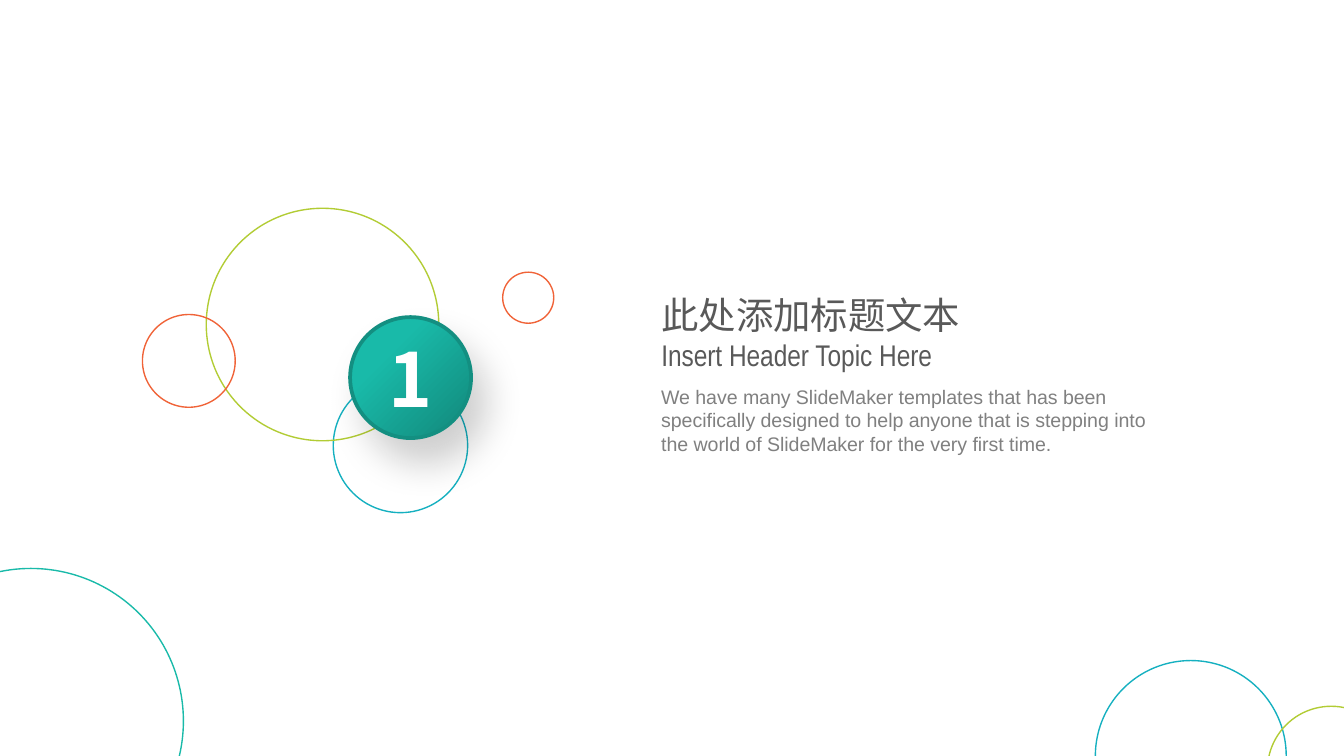
from lxml import etree
from pptx import Presentation
from pptx.dml.color import RGBColor
from pptx.enum.shapes import MSO_SHAPE
from pptx.enum.text import MSO_ANCHOR, MSO_AUTO_SIZE, PP_ALIGN
from pptx.oxml.ns import qn
from pptx.util import Inches, Pt

OVAL = MSO_SHAPE.OVAL
TOP = MSO_ANCHOR.TOP
GROW = MSO_AUTO_SIZE.SHAPE_TO_FIT_TEXT
LEFT, CENTER = PP_ALIGN.LEFT, PP_ALIGN.CENTER

TEAL = RGBColor(0x19, 0xBA, 0xA9)
DARK_TEAL = RGBColor(0x13, 0x8F, 0x81)
CYAN = RGBColor(0x15, 0xB0, 0xC0)
LIME = RGBColor(0xB2, 0xCC, 0x34)
ORANGE = RGBColor(0xF0, 0x63, 0x38)
WHITE = RGBColor(0xFF, 0xFF, 0xFF)
HEADING = RGBColor(0x59, 0x59, 0x59)
BODY = RGBColor(0x80, 0x80, 0x80)
CJK = "Noto Sans CJK SC"

prs = Presentation()
prs.slide_width = Inches(10)
prs.slide_height = prs.slide_width * 9 // 16
s = prs.slides.add_slide(prs.slide_layouts[5])
U = prs.slide_width / 100  # grid unit: one hundredth of the slide width


def add_circle(x, y, size, color, weight=0.75):
    """Draw an unfilled circle, measured in grid units."""
    sp = s.shapes.add_shape(OVAL, *(int(v * U) for v in (x, y, size, size)))
    sp.shadow.inherit = False
    sp.fill.background()
    sp.line.color.rgb = color
    sp.line.width = Pt(weight)
    return sp


def write(sp, lines, box, color, align=LEFT, bold=False, inset=0.0):
    """Place a text shape on the grid and fill it with (text, font, size) lines."""
    sp.left, sp.top, sp.width, sp.height = (int(v * U) for v in box)
    tf = sp.text_frame
    tf.word_wrap = True
    tf.auto_size = GROW
    tf.vertical_anchor = TOP
    tf.margin_left, tf.margin_right = Inches(inset), Inches(0.1)
    tf.margin_top = tf.margin_bottom = Inches(0.05)
    for i, (text, font, size) in enumerate(lines):
        p = tf.add_paragraph() if i else tf.paragraphs[0]
        p.alignment = align
        r = p.add_run()
        r.text = text
        r.font.name, r.font.size = font, Pt(size)
        r.font.bold = bold
        r.font.color.rgb = color
        etree.SubElement(r.font._element, qn("a:ea"), typeface=font)


# Heading and description
write(s.shapes.title,
      [("此处添加标题文本", CJK, 20), ("Insert Header Topic Here", "Arial Narrow", 16)],
      (49.2, 21.25, 23.6, 7.1), HEADING)
write(s.shapes.add_textbox(0, 0, 0, 0),
      [("We have many SlideMaker templates that has been specifically designed to help "
        "anyone that is stepping into the world of SlideMaker for the very first time.",
        "Arial", 10.5)],
      (49.2, 28.15, 39.4, 6.3), BODY)

# Outlined circles: left, top, diameter, colour
for x, y, size, color in [
    (24.8, 28.15, 10, CYAN),
    (15.35, 15.5, 17.3, LIME),
    (-9.05, 42.3, 22.7, TEAL),
    (10.6, 23.4, 6.9, ORANGE),
    (81.5, 49.15, 14.2, CYAN),
    (37.4, 20.25, 3.8, ORANGE),
    (94.3, 52.55, 9.5, LIME),
]:
    add_circle(x, y, size, color)

# Numbered badge with gradient and soft shadow
badge = add_circle(26.05, 23.6, 9, DARK_TEAL, weight=2)
badge.fill.gradient()
badge.fill.gradient_angle = 315
for stop, position, color in zip(badge.fill.gradient_stops, (0.3, 0.9), (TEAL, DARK_TEAL)):
    stop.position = position
    stop.color.rgb = color
effects = badge._element.spPr.find(qn("a:effectLst"))
shadow = etree.SubElement(effects, qn("a:outerShdw"), blurRad=str(Pt(20)),
                          dist=str(Pt(15)), dir=str(59 * 60000), algn="ctr", rotWithShape="0")
shade = etree.SubElement(shadow, qn("a:srgbClr"), val="0D0D0D")
etree.SubElement(shade, qn("a:alpha"), val="20000")
write(s.shapes.add_textbox(0, 0, 0, 0), [("1", CJK, 40)],
      (25.55, 24.25, 10, 7.7), WHITE, align=CENTER, bold=True, inset=0.1)

prs.save("out.pptx")
